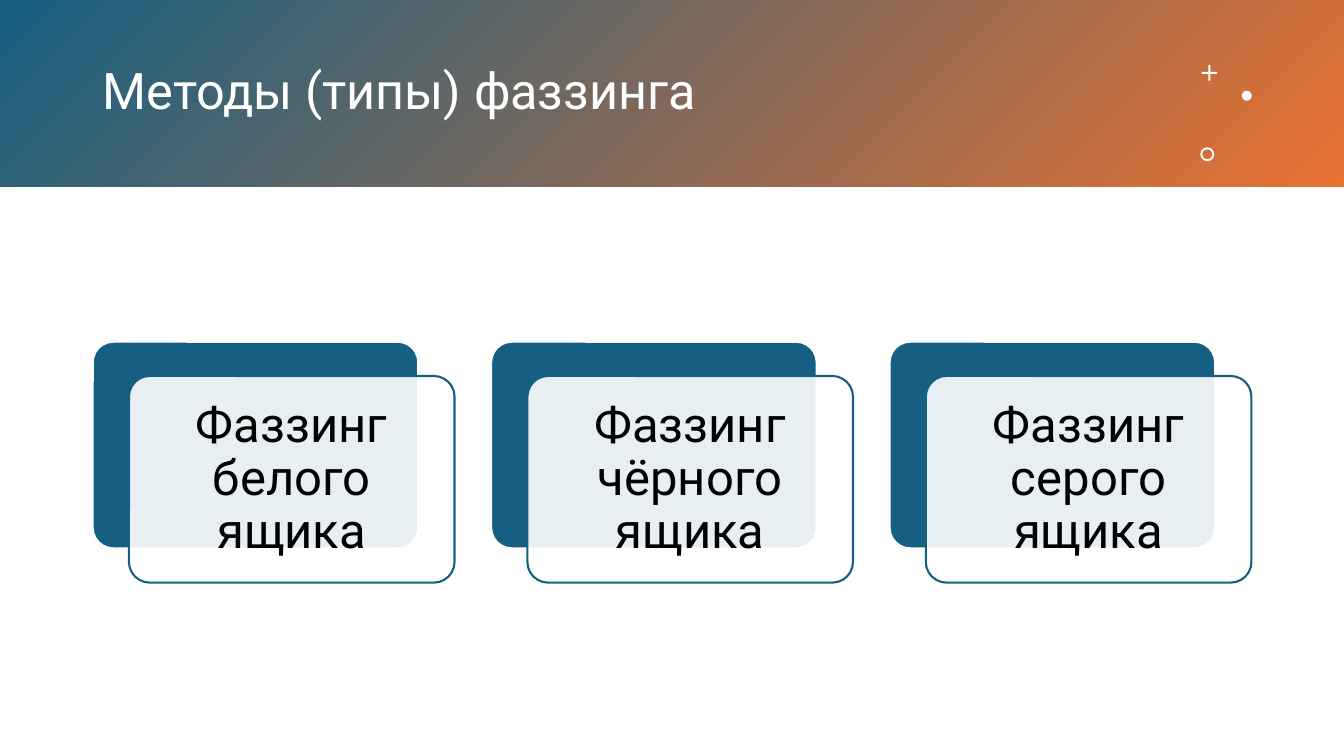
"""Builds the slide on the three kinds of fuzzing."""
from lxml import etree
from pptx import Presentation
from pptx.dml.color import RGBColor
from pptx.enum.shapes import MSO_SHAPE
from pptx.enum.text import MSO_ANCHOR, PP_ALIGN
from pptx.oxml.ns import qn
from pptx.util import Pt

RECT = MSO_SHAPE.RECTANGLE
ROUNDED = MSO_SHAPE.ROUNDED_RECTANGLE
PLUS = MSO_SHAPE.CROSS
DOT = MSO_SHAPE.OVAL
RING = MSO_SHAPE.DONUT
MIDDLE = MSO_ANCHOR.MIDDLE
LEFT = PP_ALIGN.LEFT
CENTER = PP_ALIGN.CENTER


def rgb(value):
    return RGBColor.from_string(value)


class FuzzingSlide:
    font = "Roboto"
    blue = "156082"
    orange = "E97132"
    white = "FFFFFF"
    black = "000000"

    def __init__(self, deck):
        self.shapes = deck.slides.add_slide(deck.slide_layouts[6]).shapes

    def shape(self, kind, box, fill, line=None, adjust=None):
        shape = self.shapes.add_shape(kind, *map(Pt, box))
        shape.shadow.inherit = False
        shape.fill.solid()
        shape.fill.fore_color.rgb = rgb(fill)
        if line:
            shape.line.color.rgb = rgb(line)
            shape.line.width = Pt(1.5)
        else:
            shape.line.fill.background()
        if adjust is not None:
            shape.adjustments[0] = adjust
        return shape

    def label(self, shape, text, size, color, align):
        frame = shape.text_frame
        frame.word_wrap = True
        frame.vertical_anchor = MIDDLE
        frame.text = text
        paragraph = frame.paragraphs[0]
        paragraph.alignment = align
        paragraph.line_spacing = 0.9
        paragraph.font.name = self.font
        paragraph.font.size = Pt(size)
        paragraph.font.color.rgb = rgb(color)
        return frame

    def banner(self, box):
        fill = self.shape(RECT, box, self.blue).fill
        fill.gradient()
        fill.gradient_angle = 315
        for stop, color, position in zip(fill.gradient_stops, (self.blue, self.orange), (0, 1)):
            stop.color.rgb = rgb(color)
            stop.position = position

    def title(self, box, text):
        self.label(self.shapes.add_textbox(*map(Pt, box)), text, 36, self.white, LEFT)

    def card(self, left, top, text):
        width, height = 232.56, 147.6
        self.shape(ROUNDED, (left, top, width, height), self.blue, self.white, 0.1)
        front = self.shape(ROUNDED, (left + 25.92, top + 24.48, width, height),
                           self.white, self.blue, 0.1)
        tint = front.element.spPr.find(qn("a:solidFill"))[0]
        etree.SubElement(tint, qn("a:alpha")).set("val", "90000")
        frame = self.label(front, text, 35, self.black, CENTER)
        frame.margin_left = frame.margin_right = Pt(10.8)
        frame.margin_top = frame.margin_bottom = Pt(10.8)


def main():
    deck = Presentation()
    deck.slide_width, deck.slide_height = Pt(960), Pt(540)
    slide = FuzzingSlide(deck)
    slide.banner((0, 0, 960, 133.2))
    slide.title((66.24, 23.76, 774, 85.68), "Методы (типы) фаззинга")
    ornaments = (
        (PLUS, 858.4, 46.6, 11, 0.44),
        (DOT, 887, 64.8, 7.2, None),
        (RING, 857.4, 105.2, 10, 0.14),
    )
    for kind, left, top, size, adjust in ornaments:
        slide.shape(kind, (left, top, size, size), slide.white, adjust=adjust)
    for column, box_color in enumerate(("белого", "чёрного", "серого")):
        slide.card(66.24 + 284.6 * column, 244.08, f"Фаззинг {box_color} ящика")
    deck.save("out.pptx")


if __name__ == "__main__":
    main()
